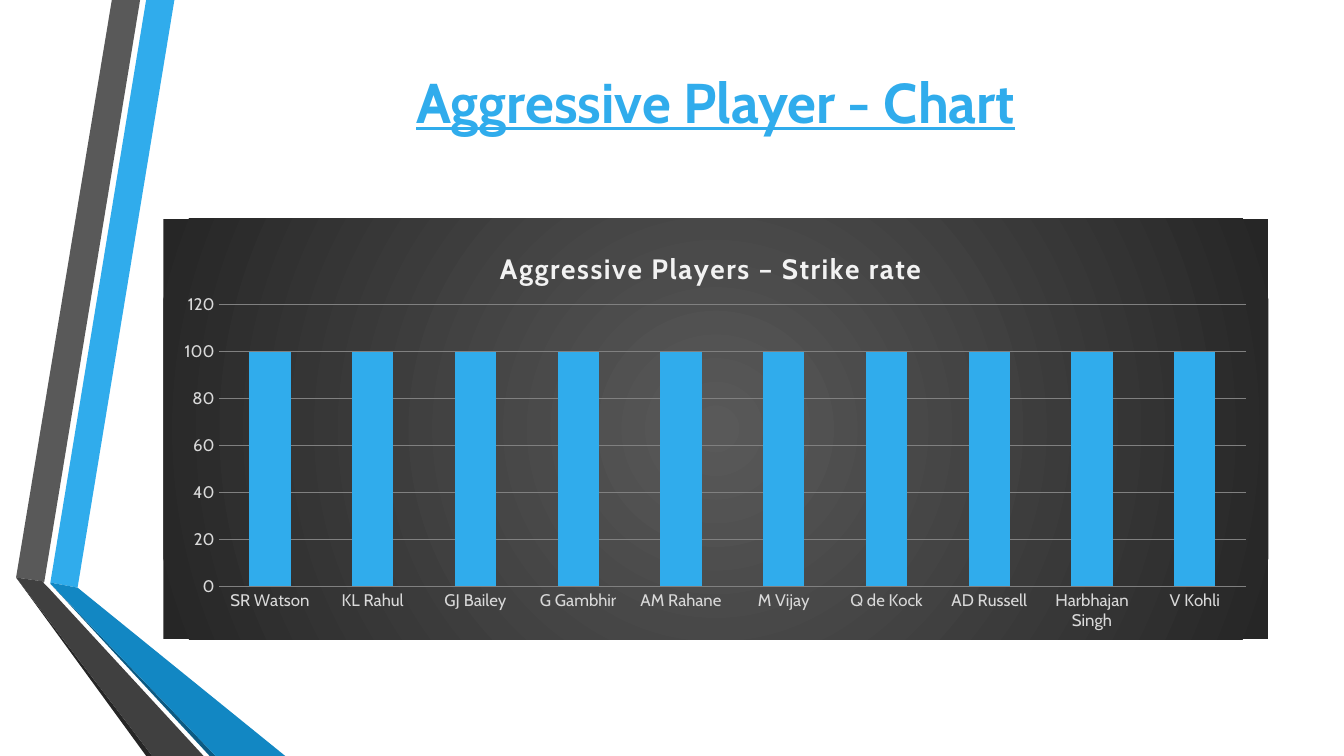
from dataclasses import dataclass

from lxml import etree
from pptx import Presentation
from pptx.chart.data import CategoryChartData
from pptx.dml.color import RGBColor
from pptx.enum.chart import XL_CHART_TYPE, XL_TICK_MARK
from pptx.enum.text import MSO_ANCHOR, PP_ALIGN
from pptx.oxml import parse_xml
from pptx.oxml.ns import qn
from pptx.util import Inches, Pt

COLUMNS = XL_CHART_TYPE.COLUMN_CLUSTERED
NO_TICK = XL_TICK_MARK.NONE
CENTER, MIDDLE = PP_ALIGN.CENTER, MSO_ANCHOR.MIDDLE
FONT, BLUE = "Cabin", "30ACEC"

# Grid of square cells, 100 to the inch
CELL = Inches(0.01)
SLIDE_COLUMNS, SLIDE_ROWS = 1333, 750
CONTENT_LEFT, CONTENT_WIDTH = 162, 1096

PLAYERS = ("SR Watson", "KL Rahul", "GJ Bailey", "G Gambhir", "AM Rahane",
           "M Vijay", "Q de Kock", "AD Russell", "Harbhajan Singh", "V Kohli")
STRIKE_RATE = 100

NAMESPACES = ('xmlns:c="http://schemas.openxmlformats.org/drawingml/2006/chart" '
              'xmlns:a="http://schemas.openxmlformats.org/drawingml/2006/main"')
BACKGROUND = f"""<c:spPr {NAMESPACES}><a:gradFill><a:gsLst>
<a:gs pos="0"><a:srgbClr val="595959"/></a:gs>
<a:gs pos="100000"><a:srgbClr val="262626"/></a:gs></a:gsLst>
<a:path path="circle"><a:fillToRect l="50000" t="50000" r="50000" b="50000"/></a:path>
</a:gradFill><a:ln><a:noFill/></a:ln></c:spPr>"""


@dataclass(frozen=True)
class Ribbon:
    color: str
    points: tuple[tuple[int, int], ...]


RIBBONS = (
    Ribbon(BLUE, ((50, 578), (77, 583), (173, 0), (145, 0))),
    Ribbon("595959", ((139, 0), (111, 0), (16, 573), (44, 577))),
    Ribbon("262626", ((16, 573), (145, 750), (151, 750))),
    Ribbon("0C5A82", ((50, 579), (208, 750), (214, 750))),
    Ribbon("1287C3", ((50, 579), (214, 750), (283, 750), (77, 583), (50, 578))),
    Ribbon("404040", ((202, 750), (48, 583), (43, 578), (44, 577), (16, 573), (151, 750))),
)


def rgb(color: str) -> RGBColor:
    return RGBColor.from_string(color)


def format_font(font, color: str, **values) -> None:
    for name, value in {"name": FONT, **values}.items():
        setattr(font, name, value)
    font.color.rgb = rgb(color)


def draw_ribbon(page, ribbon: Ribbon) -> None:
    start, *rest = ribbon.points
    builder = page.shapes.build_freeform(*start, scale=CELL)
    builder.add_line_segments(rest, close=True)
    shape = builder.convert_to_shape()
    shape.shadow.inherit = False
    shape.fill.solid()
    shape.fill.fore_color.rgb = rgb(ribbon.color)
    shape.line.fill.background()


def write_title(page) -> None:
    box = page.shapes.title
    place = {"left": CONTENT_LEFT, "top": 60, "width": CONTENT_WIDTH, "height": 80}
    for name, cells in place.items():
        setattr(box, name, cells * CELL)
    frame = box.text_frame
    frame.vertical_anchor = MIDDLE
    para = frame.paragraphs[0]
    para.alignment = CENTER
    span = para.add_run()
    span.text = "Aggressive Player - Chart"
    format_font(span.font, BLUE, size=Pt(40), bold=True, underline=True)


def set_layout(parent, index: int, **shares) -> None:
    """Place a chart part by shares of the chart's size."""
    for old in parent.findall(qn("c:layout")):
        parent.remove(old)
    layout = etree.Element(qn("c:layout"))
    manual = etree.SubElement(layout, qn("c:manualLayout"))
    for name, value in shares.items():
        etree.SubElement(manual, qn(f"c:{name}"), val=str(value))
    parent.insert(index, layout)


def format_axis(axis) -> None:
    axis.major_tick_mark = axis.minor_tick_mark = NO_TICK
    axis.format.line.fill.background()
    format_font(axis.tick_labels.font, "D9D9D9", size=Pt(12))


def draw_chart(page) -> None:
    data = CategoryChartData()
    data.categories = PLAYERS
    data.add_series("Series 1", [STRIKE_RATE] * len(PLAYERS))
    chart = page.shapes.add_chart(COLUMNS, CONTENT_LEFT * CELL, 217 * CELL,
                                  CONTENT_WIDTH * CELL, 417 * CELL, data).chart
    chart.has_legend = False
    format_font(chart.font, "000000", size=Pt(10))

    # Chart title
    chart.has_title = True
    para = chart.chart_title.text_frame.paragraphs[0]
    span = para.add_run()
    span.text = "Aggressive Players – Strike rate"
    format_font(span.font, "F2F2F2", size=Pt(20), bold=True)
    span.font._element.set("spc", "100")

    # Axes and gridlines
    format_axis(chart.category_axis)
    scale = chart.value_axis
    format_axis(scale)
    for name, value in {"minimum_scale": 0, "maximum_scale": 120, "major_unit": 20}.items():
        setattr(scale, name, value)
    grid = scale.major_gridlines.format.line
    grid.width = Pt(0.75)
    grid.color.rgb = rgb("808080")

    # Bars
    plot = chart.plots[0]
    plot.gap_width = 150
    plot.vary_by_categories = False
    bars = plot.series[0].format.fill
    bars.solid()
    bars.fore_color.rgb = rgb(BLUE)

    # Background and placing of the parts
    chart_part = chart._chartSpace.find(qn("c:chart"))
    chart_part.addnext(parse_xml(BACKGROUND))
    set_layout(chart_part.find(qn("c:title")), 1, xMode="edge", yMode="edge", x=0.3, y=0.06)
    set_layout(chart_part.find(qn("c:plotArea")), 0, layoutTarget="inner",
               xMode="edge", yMode="edge", x=0.05, y=0.205, w=0.93, h=0.67)


def main() -> None:
    deck = Presentation()
    deck.slide_width, deck.slide_height = SLIDE_COLUMNS * CELL, SLIDE_ROWS * CELL
    page = deck.slides.add_slide(deck.slide_layouts[5])
    for ribbon in RIBBONS:
        draw_ribbon(page, ribbon)
    write_title(page)
    draw_chart(page)
    deck.save("out.pptx")


if __name__ == "__main__":
    main()
